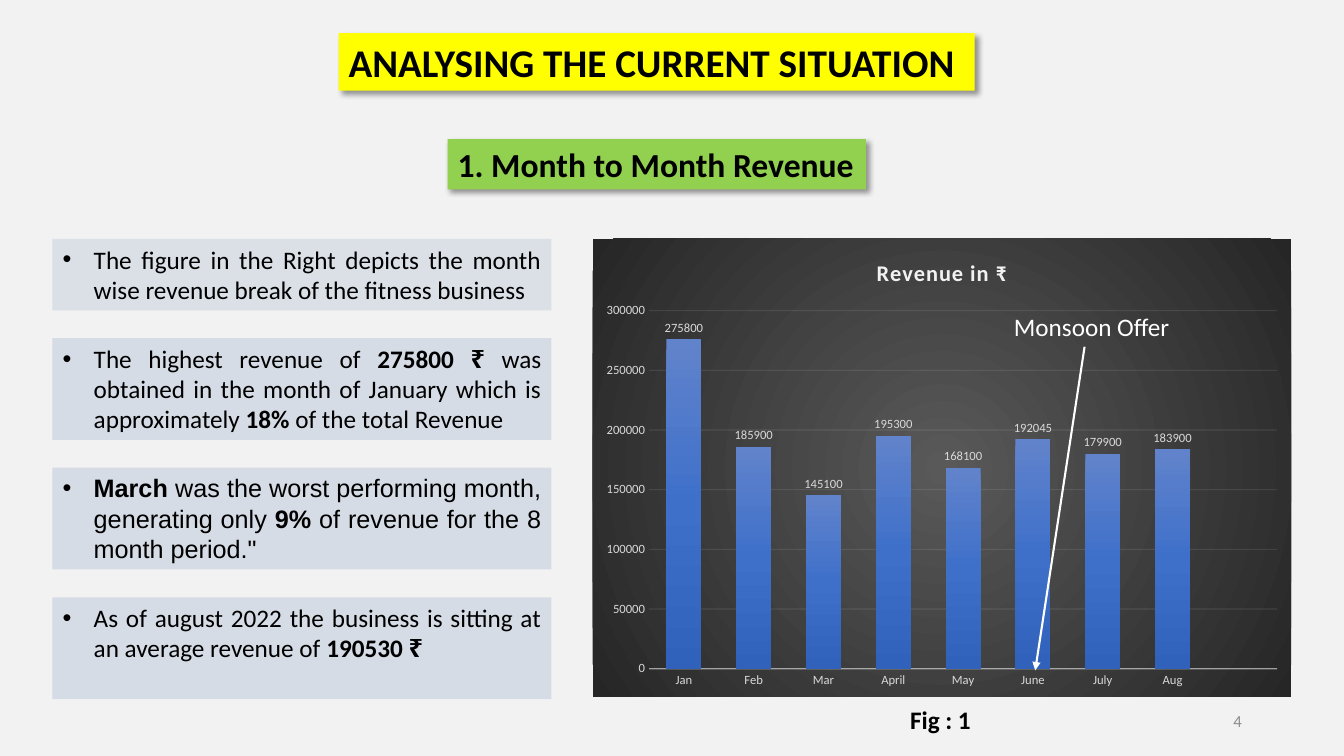
from lxml.etree import SubElement
from pptx import Presentation
from pptx.chart.data import CategoryChartData
from pptx.dml.color import RGBColor
from pptx.enum.chart import XL_CHART_TYPE, XL_LABEL_POSITION, XL_TICK_MARK
from pptx.enum.shapes import MSO_CONNECTOR
from pptx.enum.text import MSO_ANCHOR, MSO_AUTO_SIZE, PP_ALIGN
from pptx.oxml import parse_xml
from pptx.oxml.ns import nsdecls, qn
from pptx.util import Inches, Pt

COLUMNS, ROWS = 40, 30
COMPARISON_LAYOUT = 4
RUPEE = ("₹", {"bold": True, "name": "Cabin"})
BOLD = {"bold": True}
ARIAL = {"name": "Arial"}
ARIAL_BOLD = {"name": "Arial", "bold": True}

# Rows tall, fill opacity in percent, runs
FINDINGS = [
    (2.84, 80, [("The figure in the Right depicts the month wise revenue break "
                 "of the fitness business", {})]),
    (4.04, 100, [("The highest revenue of ", {}), ("275800 ", BOLD), RUPEE,
                 (" was obtained in the month of January which is approximately ", {}),
                 ("18%", BOLD), (" of the total Revenue", {})]),
    (4.04, 100, [("March", ARIAL_BOLD),
                 (" was the worst performing month, generating only ", ARIAL),
                 ("9%", ARIAL_BOLD),
                 (" of revenue for the 8 month period.\"", ARIAL)]),
    (4.04, 100, [("As of august 2022 the business is sitting at an average revenue of ", {}),
                 ("190530 ", BOLD), RUPEE]),
]
REVENUE = {"Jan": 275800, "Feb": 185900, "Mar": 145100, "April": 195300, "May": 168100,
           "June": 192045, "July": 179900, "Aug": 183900, "": None}


def rgb(color):
    return RGBColor.from_string(color)


def assign(target, **values):
    for name, value in values.items():
        setattr(target, name, value)


def set_font(font, size=18, color="000000", **values):
    assign(font, **{"name": "Calibri", "bold": False, "size": Pt(size), **values})
    font.color.rgb = rgb(color)


def set_opacity(element, percent):
    """Make every solid colour under the element partly transparent."""
    for color in element.iter(qn("a:srgbClr")):
        SubElement(color, qn("a:alpha")).set("val", str(percent * 1000))


def gradient(stops, direction):
    marks = "".join(f'<a:gs pos="{share * 1000}"><a:srgbClr val="{color}"/></a:gs>'
                    for share, color in stops)
    return f'<a:gradFill {nsdecls("a")}><a:gsLst>{marks}</a:gsLst>{direction}</a:gradFill>'


class RevenueSlide:
    def __init__(self, background):
        self.deck = Presentation()
        assign(self.deck, slide_width=Inches(13.333), slide_height=Inches(7.5))
        self.slide = self.deck.slides.add_slide(self.deck.slide_layouts[COMPARISON_LAYOUT])
        self.slide.background.fill.solid()
        self.slide.background.fill.fore_color.rgb = rgb(background)

    def grid(self, *cells):
        """Turn alternating column and row counts into lengths."""
        steps = (self.deck.slide_width / COLUMNS, self.deck.slide_height / ROWS)
        return [round(cell * steps[i % 2]) for i, cell in enumerate(cells)]

    def text(self, runs, cells, holder=None, fill=None, align=PP_ALIGN.LEFT,
             anchor=MSO_ANCHOR.TOP, spacing=1, bullet=None, **font):
        place = self.grid(*cells)
        box = holder or self.slide.shapes.add_textbox(*place)
        assign(box, **dict(zip(("left", "top", "width", "height"), place)))
        if fill:
            box.fill.solid()
            box.fill.fore_color.rgb = rgb(fill)
        assign(box.text_frame, word_wrap=True, auto_size=MSO_AUTO_SIZE.NONE,
               vertical_anchor=anchor)
        paragraph = box.text_frame.paragraphs[0]
        assign(paragraph, alignment=align, line_spacing=spacing, space_before=Pt(0))
        if bullet:
            layout = paragraph._p.get_or_add_pPr()
            layout.set("marL", str(Inches(0.31)))
            layout.set("indent", str(-Inches(0.31)))
            SubElement(layout, qn("a:buFont")).set("typeface", "Arial")
            SubElement(layout, qn("a:buChar")).set("char", bullet)
        for words, own in runs:
            run = paragraph.add_run()
            run.text = words
            set_font(run.font, **{**font, **own})
        return box

    def banner(self, words, cells, **style):
        """Bold heading on a coloured plate with a soft shadow."""
        plate = self.text([(words, BOLD)], cells, **style)
        plate.shadow.inherit = False
        plate.element.spPr.find(qn("a:effectLst")).append(parse_xml(
            f'<a:outerShdw {nsdecls("a")} blurRad="50800" dist="38100" dir="2700000" '
            'algn="tl" rotWithShape="0"><a:srgbClr val="000000"><a:alpha val="40000"/>'
            '</a:srgbClr></a:outerShdw>'))

    def findings(self, items, left, top, width, gap):
        holders = list(self.slide.placeholders)[1:]
        for holder, (height, opacity, runs) in zip(holders, items):
            box = self.text(runs, (left, top, width, height), holder=holder, fill="D6DCE5",
                            align=PP_ALIGN.JUSTIFY, bullet="•")
            if opacity < 100:
                set_opacity(box.element.spPr, opacity)
            top += height + gap

    def column_chart(self, name, values, cells):
        data = CategoryChartData()
        data.categories = list(values)
        data.add_series(name, list(values.values()))
        chart = self.slide.shapes.add_chart(
            XL_CHART_TYPE.COLUMN_CLUSTERED, *self.grid(*cells), data).chart
        set_font(chart.font, 10)
        assign(chart, has_legend=False, has_title=True)
        chart.chart_title.include_in_layout = False
        heading = chart.chart_title.text_frame.paragraphs[0].add_run()
        heading.text = name
        set_font(heading.font, 16, "F2F2F2", bold=True)
        heading.font._element.set("spc", "80")

        for axis in (chart.category_axis, chart.value_axis):
            assign(axis, major_tick_mark=XL_TICK_MARK.NONE, minor_tick_mark=XL_TICK_MARK.NONE)
            set_font(axis.tick_labels.font, 9, "D9D9D9")
        assign(chart.value_axis, minimum_scale=0, maximum_scale=300000, major_unit=50000)
        chart.value_axis.format.line.fill.background()
        for axis, line, width, opacity in (
                (chart.category_axis, chart.category_axis.format.line, 1, 54),
                (chart.value_axis, chart.value_axis.major_gridlines.format.line, 0.75, 10)):
            line.width = Pt(width)
            line.color.rgb = rgb("F2F2F2")
            for stroke in axis._element.iter(qn("a:ln")):
                set_opacity(stroke, opacity)

        plot = chart.plots[0]
        assign(plot, gap_width=100, overlap=-24, vary_by_categories=False, has_data_labels=True)
        assign(plot.data_labels, show_value=True, position=XL_LABEL_POSITION.OUTSIDE_END)
        set_font(plot.data_labels.font, 9, "D9D9D9")
        bars = plot.series[0]
        bars.format.fill.background()
        empty = next(bars._element.iter(qn("a:noFill")))
        empty.getparent().replace(empty, parse_xml(gradient(
            [(0, "6183CB"), (50, "3E70CA"), (100, "3062BB")], '<a:lin ang="5400000" scaled="0"/>')))
        backdrop = gradient(
            [(0, "595959"), (100, "262626")],
            '<a:path path="circle"><a:fillToRect l="50000" t="50000" r="50000" b="50000"/></a:path>')
        chart._chartSpace.find(qn("c:chart")).addnext(parse_xml(
            f'<c:spPr {nsdecls("c", "a")}>{backdrop}<a:ln><a:noFill/></a:ln></c:spPr>'))

    def arrow(self, start, end, color, width):
        pointer = self.slide.shapes.add_connector(
            MSO_CONNECTOR.STRAIGHT, *self.grid(*start, *end))
        pointer.line.width = Pt(width)
        pointer.line.color.rgb = rgb(color)
        SubElement(pointer.line._get_or_add_ln(), qn("a:tailEnd")).set("type", "triangle")
        SubElement(pointer.element.spPr, qn("a:effectLst"))


def main():
    page = RevenueSlide(background="F2F2F2")
    page.banner("ANALYSING THE CURRENT SITUATION", (10.08, 1.32, 18.93, 2.28),
                fill="FFFF00", size=28)
    page.banner("1. Month to Month Revenue", (13.32, 5.52, 12.45, 2), fill="92D050", size=24,
                holder=page.slide.shapes.title, anchor=MSO_ANCHOR.BOTTOM, spacing=0.9)
    page.findings(FINDINGS, left=1.56, top=9.48, width=14.85, gap=1.1)
    page.column_chart("Revenue in ₹", REVENUE, (17.64, 9.48, 20.79, 18.16))
    page.text([("Fig : 1", BOLD)], (26.79, 27.76, 2.49, 1.6))
    page.arrow((32.28, 13.76), (30.81, 26.6), "FFFFFF", 1.5)
    page.text([("Monsoon Offer", {})], (29.88, 12.16, 5.52, 1.6), color="FFFFFF")
    page.text([("4", {})], (28.26, 27.8, 9, 1.6), align=PP_ALIGN.RIGHT,
              anchor=MSO_ANCHOR.MIDDLE, size=12, color="8C8C8C")
    page.deck.save("out.pptx")


if __name__ == "__main__":
    main()
